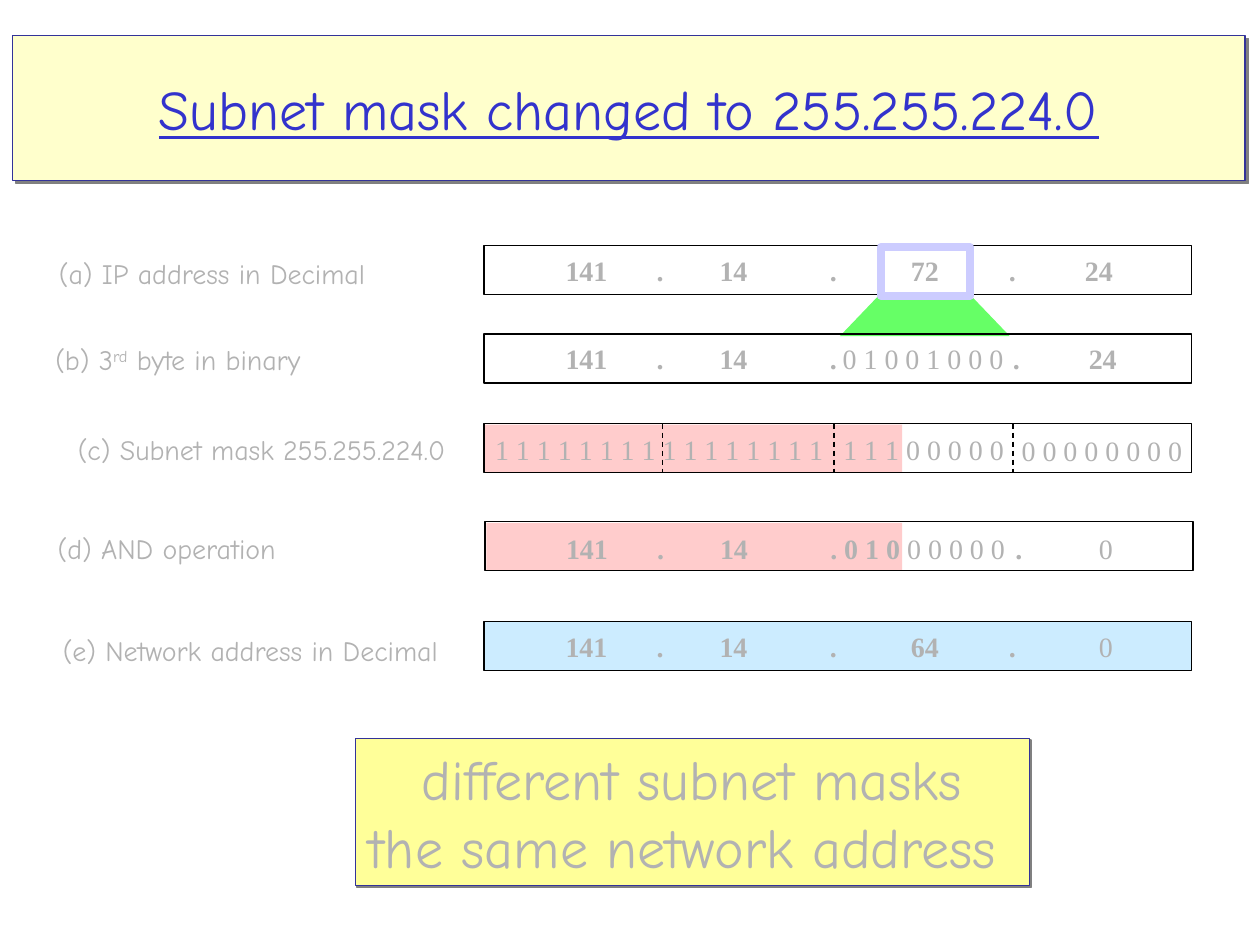
from pptx import Presentation
from pptx.util import Pt
from pptx.dml.color import RGBColor
from pptx.enum.dml import MSO_LINE as Dash
from pptx.enum.shapes import MSO_SHAPE as Form, MSO_CONNECTOR as Wire
from pptx.enum.text import PP_ALIGN as Align, MSO_ANCHOR as Anchor
from pptx.oxml.ns import qn
from lxml.etree import SubElement as Sub

BLACK = RGBColor(0x00, 0x00, 0x00)
GREY = RGBColor(0xB2, 0xB2, 0xB2)
PINK = RGBColor(0xFF, 0xCC, 0xCC)
GREEN = RGBColor(0x66, 0xFF, 0x66)
SKY = RGBColor(0xCC, 0xEC, 0xFF)
LILAC = RGBColor(0xCC, 0xCC, 0xFF)
CREAM = RGBColor(0xFF, 0xFF, 0xCC)
YELLOW = RGBColor(0xFF, 0xFF, 0x99)
NAVY = RGBColor(0x33, 0x33, 0x99)
BLUE = RGBColor(0x33, 0x33, 0xCC)
COMIC, TIMES = "Comic Neue", "Times New Roman"

deck = Presentation()
deck.slide_width, deck.slide_height = Pt(720), Pt(540)
slide = deck.slides.add_slide(deck.slide_layouts[6])
shapes = slide.shapes


def add_box(x, y, w, h, fill=None, line=None, width=0.75, drop=0):
    """Rectangle with optional fill, line and hard shadow."""
    box = shapes.add_shape(Form.RECTANGLE, Pt(x), Pt(y), Pt(w), Pt(h))
    box.shadow.inherit = False
    if fill is None:
        box.fill.background()
    else:
        box.fill.solid()
        box.fill.fore_color.rgb = fill
    if line is None:
        box.line.fill.background()
    else:
        box.line.color.rgb = line
        box.line.width = Pt(width)
    if drop:
        effect = box._element.spPr.find(qn("a:effectLst"))
        shade = Sub(effect, qn("a:outerShdw"), dist=str(Pt(drop)),
                    dir="2700000", algn="ctr", rotWithShape="0")
        Sub(shade, qn("a:srgbClr"), val="808080")
    return box


def write(para, runs, base, stops=()):
    """Fill a paragraph with (text, format) runs and tab stops in points."""
    if stops:
        tabs = Sub(para._p.get_or_add_pPr(), qn("a:tabLst"))
        for stop in stops:
            Sub(tabs, qn("a:tab"), pos=str(Pt(stop)), algn="l")
    for text, extra in runs:
        run = para.add_run()
        run.text = text
        form = {**base, **extra}
        run.font.color.rgb = form.pop("color")
        lift = form.pop("lift", None)
        for key, val in form.items():
            setattr(run.font, key, val)
        if lift:
            run.font._element.set("baseline", str(lift))


# Title and closing banner
title = add_box(7.2, 20.2, 704.2, 82.8, CREAM, NAVY, drop=2.8)
note = add_box(203, 422, 385.2, 84.2, YELLOW, NAVY, drop=1.4)
big = {"name": COMIC, "size": Pt(32), "color": GREY}
banners = [
    (title, ["Subnet mask changed to 255.255.224.0"],
     {**big, "color": BLUE, "underline": True}),
    (note, ["different subnet masks", "the same network address "], big),
]
for box, lines, form in banners:
    frame = box.text_frame
    frame.word_wrap = False
    frame.vertical_anchor = Anchor.MIDDLE
    for i, line in enumerate(lines):
        para = frame.add_paragraph() if i else frame.paragraphs[0]
        para.alignment = Align.CENTER
        write(para, [(line, {})], form)

# Network part of mask and result
for x, y, w in [(277.2, 242.6, 238.3), (277.9, 298.8, 237.6)]:
    add_box(x, y, w, 27.4, PINK)

# Wedge from the third byte to its bits
build = shapes.build_freeform(503.3, 167.8, scale=Pt(1))
build.add_line_segments([(554.4, 167.8), (576.7, 192.2), (480.2, 192.2)])
wedge = build.convert_to_shape()
wedge.shadow.inherit = False
wedge.fill.solid()
wedge.fill.fore_color.rgb = GREEN
wedge.line.fill.background()

# Address rows
for x, y, fill in [(276.5, 140.4, None), (276.5, 190.8, None),
                   (276.5, 241.9, None), (277.2, 298.1, None),
                   (276.5, 355, SKY)]:
    add_box(x, y, 404.6, 28.1, fill, BLACK)
add_box(503.3, 141.1, 51.1, 28.1, None, LILAC, 4.5)

# Byte borders in the mask
for x in (378.7, 476.6, 578.9):
    rule = shapes.add_connector(Wire.STRAIGHT, Pt(x), Pt(242), Pt(x), Pt(270))
    rule.line.color.rgb = BLACK
    rule.line.width = Pt(0.75)
    rule.line.dash_style = Dash.DASH
    Sub(rule._element.spPr, qn("a:effectLst"))

# Row labels and values: left, top, width, font, runs, tab stops
bold = {"bold": True}
head = "141\t.\t14\t."
stops = (52, 88, 151)
texts = [
    (26.6, 143.3, 189.4, COMIC, [("(a) IP address in Decimal", {})], ()),
    (24.5, 192.2, 160.6, COMIC,
     [("(b) 3", {}), ("rd", {"lift": 30000}), (" byte in binary", {})], ()),
    (37.4, 243.4, 224.6, COMIC, [("(c) Subnet mask 255.255.224.0", {})], ()),
    (25.9, 300.2, 139, COMIC, [("(d) AND operation", {})], ()),
    (28.8, 358.6, 229, COMIC, [("(e) Network address in Decimal", {})], ()),
    (316.1, 141.1, 170, TIMES, [(head, bold)], stops),
    (513.4, 141.1, 129.6, TIMES, [("72\t.\t24", bold)], (56, 99.5)),
    (316.1, 191.5, 170, TIMES, [(head, bold)], stops),
    (474.5, 191.5, 105.8, TIMES, [("0 1 0 0 1 0 0 0", {})], ()),
    (571.7, 191.5, 74.2, TIMES, [(".\t24", bold)], (43.4,)),
    (275.8, 243.4, 304.6, TIMES,
     [("1 1 1 1 1 1 1 1 1 1 1 1 1 1 1 1\t1 1 1 0 0 0 0 0", {})], (199,)),
    (576.7, 244.1, 105.8, TIMES, [("0 0 0 0 0 0 0 0", {})], ()),
    (316.4, 300.2, 269.3, TIMES,
     [(head + " 0 1 0", bold), (" 0 0 0 0 0", {})], stops),
    (573.1, 300.2, 69.8, TIMES, [(".\t", bold), ("0", {})], (47.7,)),
    (316.1, 356.4, 170, TIMES, [(head, bold)], stops),
    (513.4, 356.4, 129.6, TIMES, [("64\t.\t", bold), ("0", {})],
     (56, 107.5)),
]
for x, y, w, font, runs, marks in texts:
    # Slack keeps each text on one line
    frame = shapes.add_textbox(Pt(x), Pt(y), Pt(w + 6), Pt(26.5)).text_frame
    frame.word_wrap = True
    write(frame.paragraphs[0], runs,
          {"name": font, "size": Pt(16), "color": GREY}, marks)

deck.save("out.pptx")
